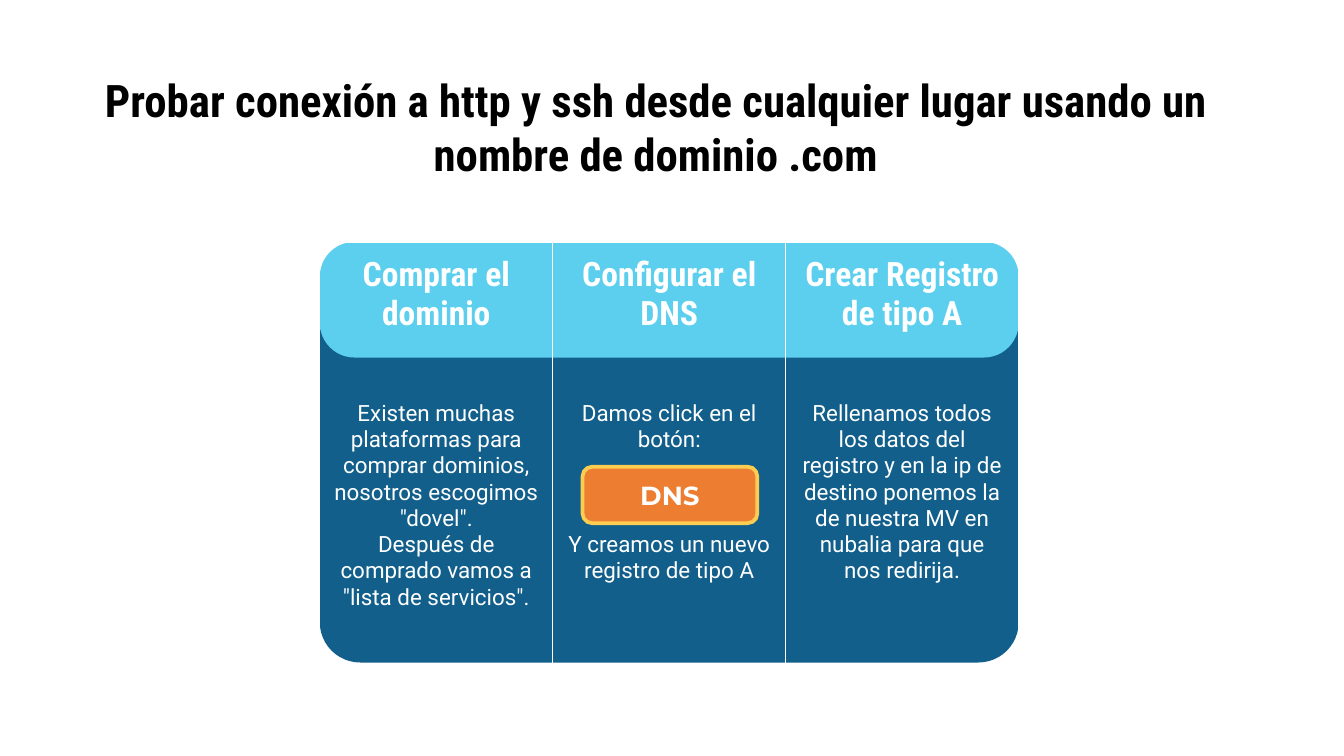
from dataclasses import dataclass

from lxml.etree import SubElement
from pptx import Presentation
from pptx.dml.color import RGBColor as Rgb
from pptx.enum.shapes import MSO_SHAPE as Preset
from pptx.enum.text import MSO_ANCHOR as Anchor, PP_ALIGN as Align
from pptx.oxml.ns import qn
from pptx.util import Inches, Pt


@dataclass(frozen=True)
class Theme:
    ink: str = "000000"
    white: str = "FFFFFF"
    navy: str = "115F8A"
    sky: str = "5CCFEE"
    orange: str = "ED7D31"
    yellow: str = "FDCD51"
    title: tuple = ("Roboto Condensed", 24, True)
    heading: tuple = ("Roboto Condensed", 18, True)
    body: tuple = ("Roboto", 12, False)
    label: tuple = ("Montserrat", 14, True)
    rule: float = 0.75


theme = Theme()
steps = [
    ("Comprar el dominio",
     ['Existen muchas plataformas para comprar dominios, nosotros escogimos "dovel".',
      'Después de comprado vamos a "lista de servicios".']),
    ("Configurar el DNS",
     ["Damos click en el botón:", "Y creamos un nuevo registro de tipo A"]),
    ("Crear Registro de tipo A",
     ["Rellenamos todos los datos del registro y en la ip de destino ponemos la "
      "de nuestra MV en nubalia para que nos redirija."]),
]

deck = Presentation()
deck.slide_width = Inches(10)
deck.slide_height = deck.slide_width * 9 // 16
slide = deck.slides.add_slide(deck.slide_layouts[6])


def share(left, top, width, height):
    """Turn percentages of the slide into a position and size."""
    across, down = deck.slide_width / 100, deck.slide_height / 100
    return [round(n) for n in (left * across, top * down, width * across, height * down)]


def write(frame, paragraphs, style, color, gap=0):
    """Fill a frame with centred paragraphs, parted by gap points."""
    font_name, size, bold = style
    for index, words in enumerate(paragraphs):
        paragraph = frame.add_paragraph() if index else frame.paragraphs[0]
        paragraph.alignment = Align.CENTER
        if index and gap:
            paragraph.space_before = Pt(gap)
        run = paragraph.add_run()
        run.text = words
        run.font.name, run.font.size, run.font.bold = font_name, Pt(size), bold
        run.font.color.rgb = Rgb.from_string(color)


title = slide.shapes.add_textbox(*share(3.8, 7.82, 90, 17.24)).text_frame
title.word_wrap = True
title.margin_top = title.margin_bottom = Inches(0.1)
write(title,
      ["Probar conexión a http y ssh desde cualquier lugar usando un nombre de dominio .com"],
      theme.title, theme.ink)

# Card and its header band, the table of steps, then the button over it
card_left, card_top, card_width = 23.8, 32, 52
card = slide.shapes.add_shape(Preset.ROUNDED_RECTANGLE, *share(card_left, 39.11, card_width, 48.53))
band = slide.shapes.add_shape(Preset.ROUNDED_RECTANGLE, *share(card_left, card_top, card_width, 15.29))
table = slide.shapes.add_table(2, len(steps), *share(card_left, card_top, card_width, 55.7)).table
button_group = slide.shapes.add_group_shape()
button = button_group.shapes.add_shape(Preset.ROUNDED_RECTANGLE, *share(43.35, 61.74, 13, 7.47))

for panel, corner, fill, outline in [
    (card, 0.11, theme.navy, None),
    (band, 0.3, theme.sky, None),
    (button, 0.17, theme.orange, theme.yellow),
]:
    panel.adjustments[0] = corner
    panel.shadow.inherit = False
    panel.fill.solid()
    panel.fill.fore_color.rgb = Rgb.from_string(fill)
    if outline:
        panel.line.color.rgb = Rgb.from_string(outline)
        panel.line.width = Pt(2)
    else:
        panel.line.fill.background()

button_label = button_group.shapes.add_textbox(*share(46.6, 62.6, 6.5, 6)).text_frame
button_label.word_wrap = False
write(button_label, ["DNS"], theme.label, theme.white)

# Three steps, one to a column
table.first_row = table.horz_banding = False
table.rows[0].height, table.rows[1].height = Inches(1.08), Inches(2.06)
button_gap = 3 * 14  # three body lines

for column, (step, details) in enumerate(steps):
    gap = button_gap if "DNS" in step else 0
    contents = [([step], theme.heading, 0, "lnB"), (details, theme.body, gap, "lnT")]
    for row, (paragraphs, style, spacing, open_edge) in enumerate(contents):
        cell = table.cell(row, column)
        write(cell.text_frame, paragraphs, style, theme.white, spacing)
        cell.margin_left = cell.margin_right = Inches(0.1)
        cell.margin_top = cell.margin_bottom = Inches(0.1)
        cell.vertical_anchor = Anchor.TOP
        properties = cell._tc.get_or_add_tcPr()
        for edge in ("lnL", "lnR", "lnT", "lnB"):
            border = SubElement(properties, qn(f"a:{edge}"), w=str(Pt(theme.rule)))
            if edge == open_edge:
                SubElement(border, qn("a:noFill"))
            else:
                paint = SubElement(border, qn("a:solidFill"))
                SubElement(paint, qn("a:srgbClr"), val=theme.white)
        cell.fill.background()

deck.save("out.pptx")
